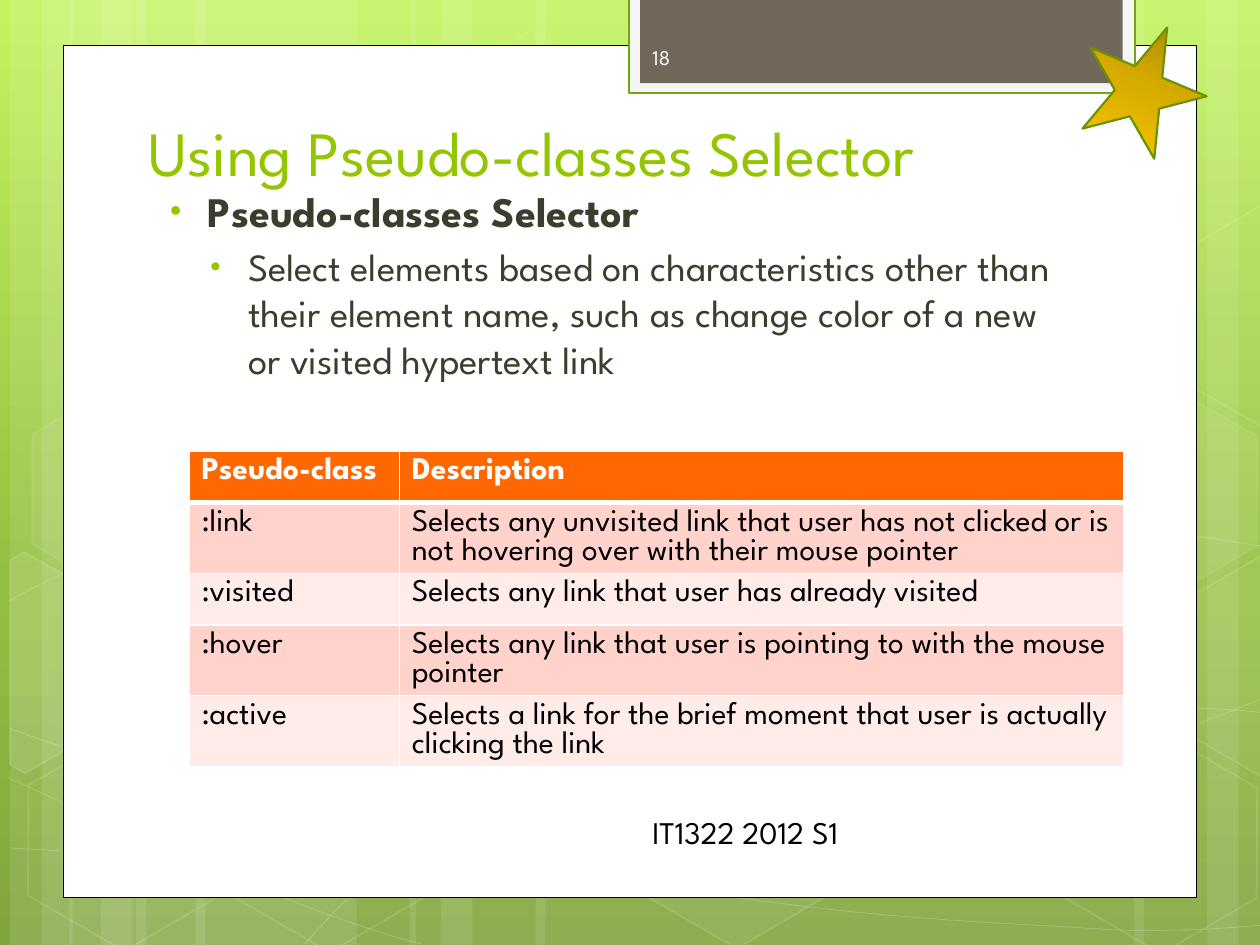
from lxml import etree
from pptx import Presentation
from pptx.dml.color import RGBColor
from pptx.enum.shapes import MSO_SHAPE as Shape
from pptx.enum.text import MSO_ANCHOR as Anchor, MSO_AUTO_SIZE as AutoSize, PP_ALIGN as Align
from pptx.oxml.ns import qn
from pptx.util import Inches, Pt

FONT = "League Spartan"
WHITE, BLACK, GREEN, DARK = "FFFFFF", "000000", "94C600", "3E3D2D"

# left, width, rotation of the pale vertical stripes
STRIPES = [
    (1.08, 1.75, 0), (0.08, 0.5, 0), (0.33, 0.83, 0), (1.55, 1.75, 0),
    (0.55, 0.5, 0), (0.8, 0.83, 0), (7.33, 1.75, 180), (9.58, 0.5, 180),
    (9, 0.83, 180), (4.25, 3.08, 0), (3.25, 0.5, 0), (3.5, 0.83, 0),
]
# Bezier chains: a start point, then two controls and an end per segment
WAVES = [
    [(0.07, 6.73), (0.61, 6.76), (1.15, 6.79), (1.9, 6.78), (2.65, 6.77), (3.58, 6.75),
     (4.58, 6.65), (5.58, 6.55), (7, 6.36), (7.92, 6.17), (8.83, 5.98), (9.77, 5.68),
     (10.07, 5.51)],
    [(0.07, 4.77), (0.36, 4.61), (0.65, 4.46), (1.21, 4.31), (1.78, 4.16), (2.59, 3.94),
     (3.47, 3.87), (4.36, 3.8), (5.44, 3.79), (6.54, 3.87), (7.64, 3.95), (9.47, 4.26),
     (10.07, 4.34)],
    [(0.06, 6.17), (1.27, 6.72), (2.47, 7.27), (3.34, 7.49)],
    [(0.07, 5.78), (0.38, 5.89), (0.7, 6), (1.28, 6.16), (1.86, 6.31), (2.73, 6.56),
     (3.57, 6.73), (4.4, 6.9), (5.45, 7.08), (6.28, 7.18), (7.11, 7.29), (8, 7.33),
     (8.53, 7.36), (9.05, 7.4), (9.19, 7.38), (9.45, 7.38), (9.71, 7.37), (9.89, 7.35),
     (10.07, 7.34)],
    [(2.42, 7.49), (2.6, 7.29), (2.78, 7.09), (3.02, 6.91), (3.26, 6.73), (3.6, 6.53),
     (3.88, 6.39), (4.16, 6.25), (4.33, 6.19), (4.7, 6.09), (5.06, 5.99), (5.73, 5.85),
     (6.08, 5.78), (6.44, 5.71), (6.49, 5.71), (6.8, 5.69), (7.11, 5.66), (7.6, 5.63),
     (7.94, 5.62), (8.29, 5.61), (8.86, 5.62), (8.86, 5.62), (9.08, 5.62), (9.31, 5.62),
     (9.53, 5.62), (9.71, 5.63), (9.88, 5.64), (9.97, 5.65), (10.06, 5.66), (10.03, 5.65),
     (10.06, 5.66)],
]
# left, top, fill opacity (None is unfilled), line opacity
HEXAGONS = [
    (3.34, 0.36, 4, 8), (4.97, 5.89, 6, 12), (0.11, 5.91, None, 12),
    (0.14, 3.12, 7, 8), (1.74, 5.92, None, 12), (7.53, 4.53, 10, 12),
    (8.34, 5.93, None, 12), (8.34, 3.14, 7, 8),
]
# outline, fill opacity of the hexagons cut by the slide edge
CUT_HEXAGONS = [
    ([(0.08, 4.45), (0.19, 4.38), (0.96, 4.82), (0.95, 5.7), (0.2, 6.14), (0.08, 6.07)], 10),
    ([(9.26, 4.85), (10.01, 4.41), (10.09, 4.46), (10.09, 6.13), (10.02, 6.17), (9.26, 5.73)], 4),
    ([(9.26, 2.07), (10.01, 1.63), (10.1, 1.68), (10.09, 3.35), (10.02, 3.39), (9.26, 2.95)], None),
]
ROWS = [
    ("Pseudo-class", "Description"),
    (":link", "Selects any unvisited link that user has not clicked or is not "
              "hovering over with their mouse pointer"),
    (":visited", "Selects any link that user has already visited"),
    (":hover", "Selects any link that user is pointing to with the mouse pointer"),
    (":active", "Selects a link for the brief moment that user is actually clicking the link"),
]


def color(value):
    return RGBColor.from_string(value)


def box(*lengths):
    return [Inches(length) for length in lengths]


def add_element(parent, tag, **attributes):
    element = etree.SubElement(parent, qn(tag))
    for name, value in attributes.items():
        element.set(name, str(value))
    return element


def set_gradient(fill, owner, stops):
    """Fill from top to bottom with (percent, colour) stops."""
    fill.gradient()
    fill.gradient_angle = 270
    stop_list = next(owner.element.iter(qn("a:gsLst")))
    for stop in list(stop_list):
        stop_list.remove(stop)
    for position, value in stops:
        stop = add_element(stop_list, "a:gs", pos=position * 1000)
        add_element(stop, "a:srgbClr", val=value)


def paint(shape, fill=None, line=None, width=1, fill_alpha=100, line_alpha=100):
    shape.shadow.inherit = False
    if fill:
        shape.fill.solid()
        shape.fill.fore_color.rgb = color(fill)
    else:
        shape.fill.background()
    if line:
        shape.line.color.rgb = color(line)
        shape.line.width = Pt(width)
    else:
        shape.line.fill.background()
    properties = shape.element.spPr
    for steps, alpha in (("a:solidFill", fill_alpha), ("a:ln/a:solidFill", line_alpha)):
        found = properties.find("/".join(qn(step) for step in steps.split("/")))
        if found is not None and alpha < 100:
            add_element(found[0], "a:alpha", val=alpha * 1000)


def add_preset(slide, kind, place, rotation=0, **style):
    shape = slide.shapes.add_shape(kind, *box(*place))
    shape.rotation = rotation
    paint(shape, **style)
    return shape


def add_outline(slide, points, close, **style):
    corners = [box(*point) for point in points]
    builder = slide.shapes.build_freeform(*corners[0])
    builder.add_line_segments(corners[1:], close=close)
    shape = builder.convert_to_shape()
    paint(shape, **style)
    return shape


def bend_segments(shape):
    """Turn each three line segments into one Bezier segment."""
    segments = list(shape.element.iter(qn("a:lnTo")))
    outline = segments[0].getparent()
    for first in range(0, len(segments), 3):
        curve = add_element(outline, "a:cubicBezTo")
        for segment in segments[first:first + 3]:
            curve.append(segment[0])
            outline.remove(segment)


def format_runs(paragraph, size, value, bold=False):
    for run in paragraph.runs:
        run.font.name = FONT
        run.font.size = Pt(size)
        run.font.bold = bold
        run.font.color.rgb = color(value)


def place_text(shape, place, anchor=Anchor.TOP):
    shape.left, shape.top, shape.width, shape.height = box(*place)
    frame = shape.text_frame
    frame.word_wrap = True
    frame.auto_size = AutoSize.NONE
    frame.vertical_anchor = anchor
    return frame


def add_label(slide, text, place, size, value, anchor=Anchor.TOP):
    frame = place_text(slide.shapes.add_textbox(*box(*place)), place, anchor)
    frame.text = text
    format_runs(frame.paragraphs[0], size, value)


def format_bullet(paragraph, margin, size, bold):
    properties = paragraph._p.get_or_add_pPr()
    properties.set("marL", str(Inches(margin)))
    properties.set("indent", str(Inches(-0.3)))
    add_element(add_element(properties, "a:buClr"), "a:srgbClr", val=GREEN)
    add_element(properties, "a:buSzPct", val=76000)
    add_element(properties, "a:buChar", char="•")
    paragraph.space_before = Pt(4.4 if paragraph.level else 0)
    format_runs(paragraph, size, DARK, bold)


def add_backdrop(slide):
    set_gradient(slide.background.fill, slide, [(0, "C3F35F"), (62, "93BF3F"), (100, "81A53E")])
    for left, width, rotation in STRIPES:
        add_preset(slide, Shape.RECTANGLE, (left, 0, width, 7.5), rotation,
                   fill=WHITE, fill_alpha=10)
    for chain in WAVES:
        bend_segments(add_outline(slide, chain, False, line=WHITE, width=0.5, line_alpha=20))
    for left, top, opacity, line_opacity in HEXAGONS:
        hexagon = add_preset(slide, Shape.HEXAGON, (left, top, 1.75, 1.52), 30,
                             fill=opacity and WHITE, fill_alpha=opacity or 100,
                             line=WHITE, line_alpha=line_opacity)
        hexagon.adjustments[0] = 0.285
    for points, opacity in CUT_HEXAGONS:
        add_outline(slide, points, True, fill=opacity and WHITE, fill_alpha=opacity or 100,
                    line=WHITE, line_alpha=12)
    # White page and the tab at its top
    add_preset(slide, Shape.RECTANGLE, (0.5, 0.36, 9, 6.76), fill=WHITE, line=BLACK, width=0.5)
    add_preset(slide, Shape.RECTANGLE, (4.99, -0.02, 4.02, 0.76),
               fill="F5F5F5", line="74A510", width=1.25)
    add_preset(slide, Shape.RECTANGLE, (5.08, -0.02, 3.83, 0.68), fill="71685A")


def fill_placeholders(slide):
    title, body = slide.placeholders
    for shape in (title, body):  # bring in front of the backdrop
        shape.element.getparent().append(shape.element)
    frame = place_text(title, (1.08, 0.3, 7.68, 1.25), Anchor.BOTTOM)
    frame.text = "Using Pseudo-classes Selector"
    frame.paragraphs[0].alignment = Align.LEFT
    format_runs(frame.paragraphs[0], 36, GREEN)

    frame = place_text(body, (1.17, 1.42, 7.41, 3.84))
    frame.text = "Pseudo-classes Selector"
    detail = frame.add_paragraph()
    detail.text = ("Select elements based on characteristics other than their element name, "
                   "such as change color of a new or visited hypertext link")
    detail.level = 1
    format_bullet(frame.paragraphs[0], 0.38, 24, True)
    format_bullet(detail, 0.7, 22, False)


def format_cell(cell, fill, value, bold, top_width, bottom_width):
    format_runs(cell.text_frame.paragraphs[0], 18, value, bold)
    properties = cell._tc.get_or_add_tcPr()
    for side, width in (("L", 1), ("R", 1), ("T", top_width), ("B", bottom_width)):
        border = add_element(properties, "a:ln" + side, w=Pt(width))
        add_element(add_element(border, "a:solidFill"), "a:srgbClr", val=WHITE)
    cell.fill.solid()
    cell.fill.fore_color.rgb = color(fill)


def add_selector_table(slide):
    table = slide.shapes.add_table(len(ROWS), 2, *box(1.5, 3.58, 7.42, 2.05)).table
    for column, width in zip(table.columns, (1.67, 5.75)):
        column.width = Inches(width)
    for index, texts in enumerate(ROWS):
        header = index == 0
        fill = "FF6700" if header else ("FFEBE7", "FFD3CC")[index % 2]
        for cell, text in zip(table.rows[index].cells, texts):
            cell.text_frame.text = text
            format_cell(cell, fill, WHITE if header else BLACK, header,
                        top_width=3 if index == 1 else 1, bottom_width=3 if header else 1)


def main():
    presentation = Presentation()
    presentation.slide_width, presentation.slide_height = box(10, 7.5)
    slide = presentation.slides.add_slide(presentation.slide_layouts[1])
    add_backdrop(slide)
    fill_placeholders(slide)
    add_label(slide, "IT1322 2012 S1", (5.08, 6.4, 3.83, 0.4), 18, BLACK)
    add_label(slide, "18", (5.08, 0.25, 1.46, 0.4), 12, "FEFEFE", Anchor.MIDDLE)
    add_selector_table(slide)
    # Gold star on the corner
    star = add_preset(slide, Shape.STAR_5_POINT, (8.57, 0.18, 1, 1), 22.8,
                      line="6D9200", width=1.25)
    set_gradient(star.fill, star, [(0, "977900"), (50, "D7AC00"), (100, "FFCC00")])
    presentation.save("out.pptx")


if __name__ == "__main__":
    main()
